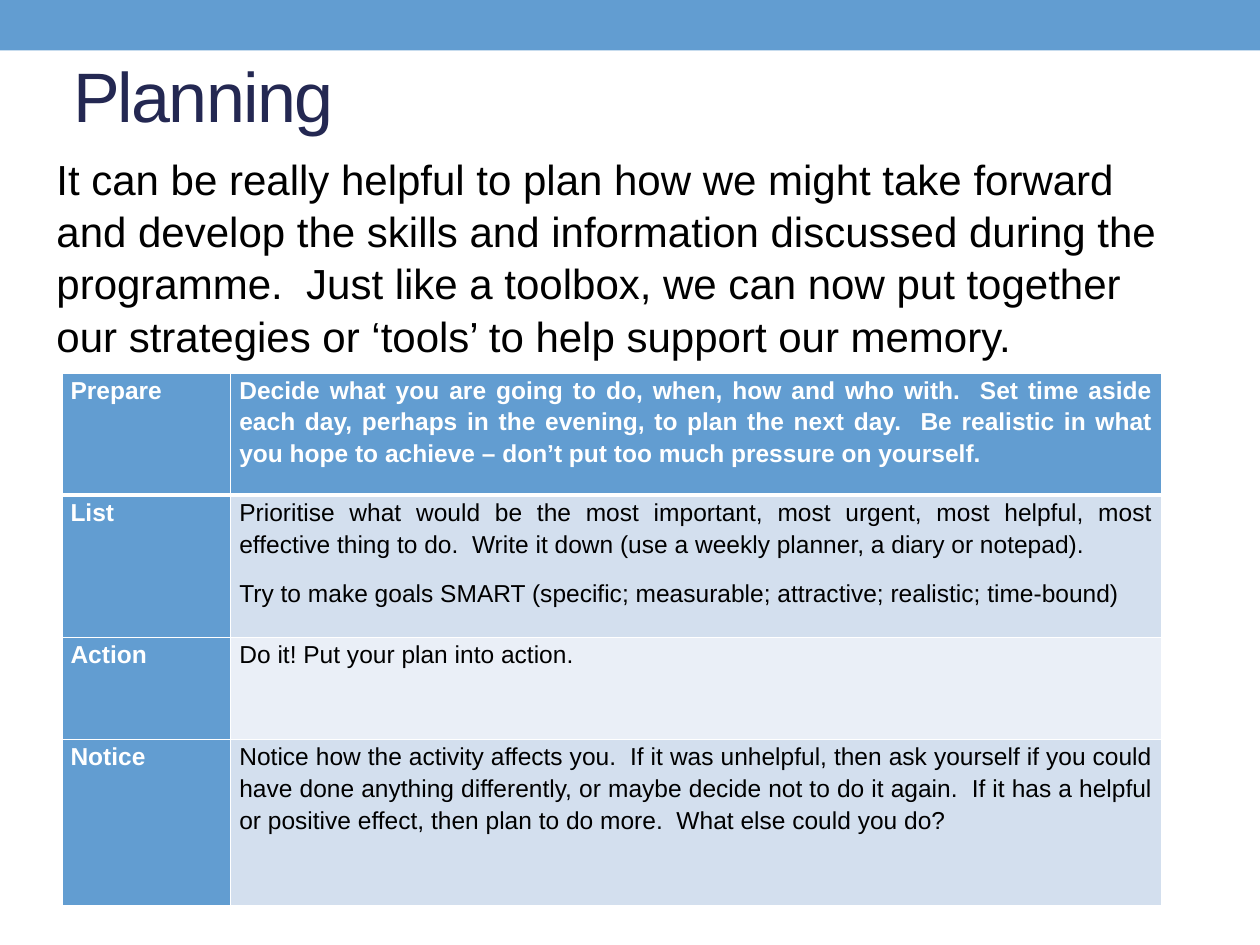
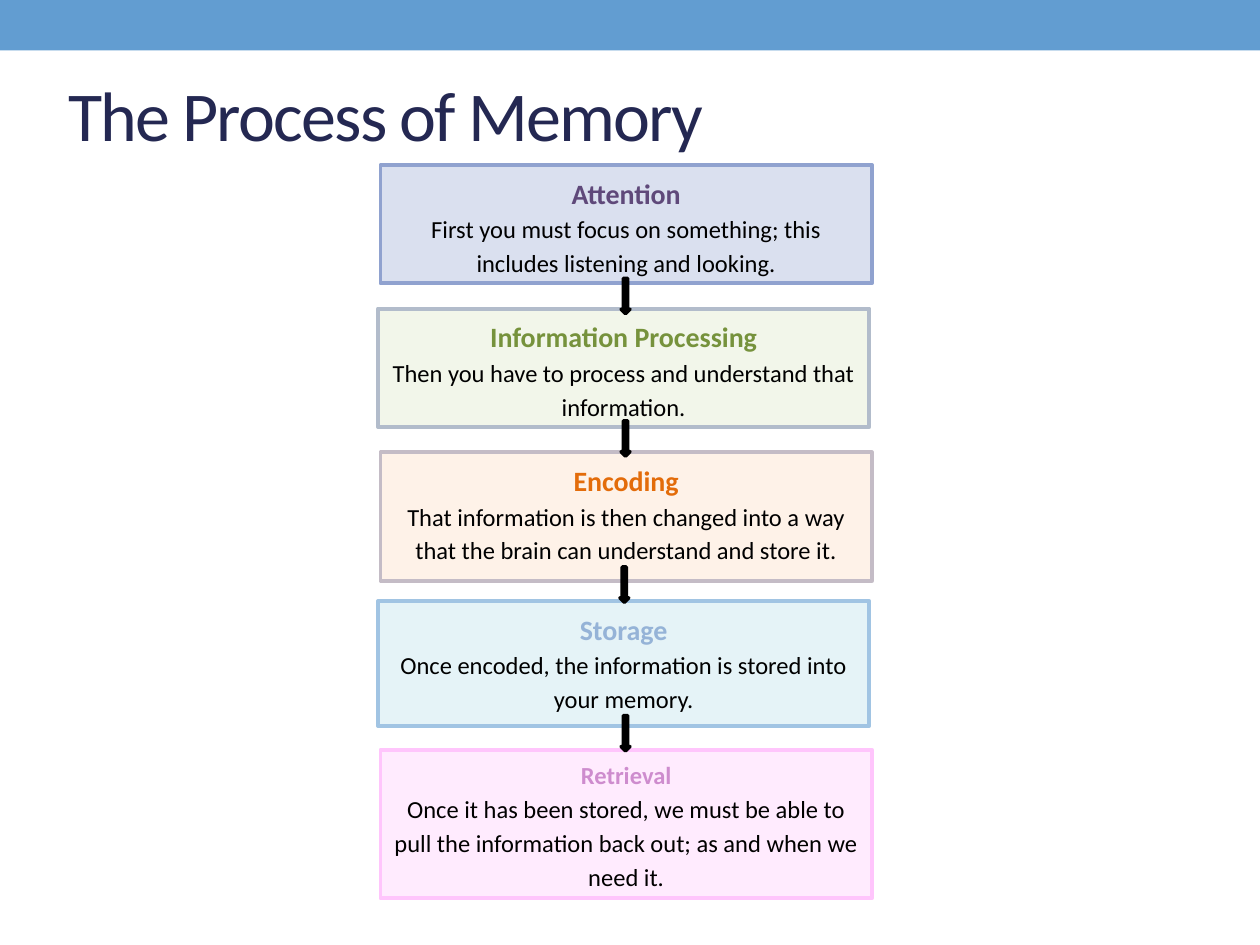
import dataclasses
import typing

import lxml.etree
import pptx
import pptx.dml.color
import pptx.enum.shapes
import pptx.enum.text
import pptx.oxml.ns
import pptx.util

ALIGN = pptx.enum.text.PP_ALIGN
ANCHOR = pptx.enum.text.MSO_ANCHOR
SHAPE = pptx.enum.shapes.MSO_SHAPE
SLIDE_WIDTH = pptx.util.Inches(10)
SLIDE_HEIGHT = pptx.util.Inches(7.5)
GRID_COLUMNS = 100
GRID_ROWS = 75


@dataclasses.dataclass(frozen=True)
class Theme:
    band: str = "629DD1"
    title: str = "242852"
    ink: str = "000000"
    paper: str = "FFFFFF"
    stripes: tuple[str, str] = ("EAEFF7", "D3DFEE")
    sans: str = "Arial"
    humanist: str = "Calibri"
    title_size: float = 40
    lead_size: float = 24
    heading_size: float = 16
    text_size: float = 14
    line_spacing: float = 1.15


THEME = Theme()


@dataclasses.dataclass(frozen=True)
class Frame:
    column: float
    row: float
    columns: float
    rows: float


@dataclasses.dataclass(frozen=True)
class PlanRow:
    label: str
    advice: tuple[str, ...]
    rows: float


@dataclasses.dataclass(frozen=True)
class MemoryStep:
    heading: str
    detail: str
    frame: Frame
    heading_color: str
    fill: str
    line: str
    heading_size: float = THEME.heading_size


PLAN_ROWS = (
    PlanRow("Prepare", ("Decide what you are going to do, when, how and who with.  Set time aside each day, "
                        "perhaps in the evening, to plan the next day.  Be realistic in what you hope to "
                        "achieve – don’t put too much pressure on yourself.",), 9.7),
    PlanRow("List", ("Prioritise what would be the most important, most urgent, most helpful, most effective "
                     "thing to do.  Write it down (use a weekly planner, a diary or notepad).",
                     "Try to make goals SMART (specific; measurable; attractive; realistic; time-bound)"), 11.3),
    PlanRow("Action", ("Do it! Put your plan into action.",), 8.1),
    PlanRow("Notice", ("Notice how the activity affects you.  If it was unhelpful, then ask yourself if you "
                       "could have done anything differently, or maybe decide not to do it again.  If it has "
                       "a helpful or positive effect, then plan to do more.  What else could you do?",), 13.2),
)
PLAN_COLUMNS = (13.4, 73.9)

MEMORY_STEPS = (
    MemoryStep("Attention", "First you must focus on something; this includes listening and looking.",
               Frame(30.2, 13.1, 39, 9.4), "5F497A", "DAE0EF", "90A2CF"),
    MemoryStep("Information Processing", "Then you have to process and understand that information.",
               Frame(30, 24.5, 39, 9.4), "76923C", "F2F6EA", "B2BCCB"),
    MemoryStep("Encoding", "That information is then changed into a way that the brain can understand and store it.",
               Frame(30.2, 35.9, 39, 10.2), "E36C0A", "FEF2E8", "C4BCC6"),
    MemoryStep("Storage", "Once encoded, the information is stored into your memory.",
               Frame(30, 47.7, 39, 9.9), "95B3D7", "E5F3F7", "A1C4E3"),
    MemoryStep("Retrieval", "Once it has been stored, we must be able to pull the information back out; "
                            "as and when we need it.",
               Frame(30.2, 59.5, 39, 11.8), "CE8CCE", "FFEBFE", "FFC5FC", THEME.text_size),
)
ARROW_POSITIONS = ((49.3, 22.1), (49.3, 33.4), (49.2, 45), (49.3, 56.8))


def across(columns: float) -> int:
    return round(SLIDE_WIDTH * columns / GRID_COLUMNS)


def down(rows: float) -> int:
    return round(SLIDE_HEIGHT * rows / GRID_ROWS)


def bounds(frame: Frame) -> tuple[int, int, int, int]:
    return across(frame.column), down(frame.row), across(frame.columns), down(frame.rows)


def color(value: str) -> pptx.dml.color.RGBColor:
    return pptx.dml.color.RGBColor.from_string(value)


def assign(target: typing.Any, values: dict[str, typing.Any]) -> None:
    for name, value in values.items():
        setattr(target, name, value)


def write(para: typing.Any, text: str, font_name: str, size: float, ink: str,
          bold: bool = False, **layout: typing.Any) -> typing.Any:
    span = para.add_run()
    span.text = text
    assign(span.font, {"name": font_name, "size": pptx.util.Pt(size), "bold": bold})
    span.font.color.rgb = color(ink)
    assign(para, layout)
    return span


def add_box(page: typing.Any, kind: typing.Any, frame: Frame, fill: str,
            line: str | None = None, weight: float = 0) -> typing.Any:
    box = page.shapes.add_shape(kind, *bounds(frame))
    box.shadow.inherit = False
    box.fill.solid()
    box.fill.fore_color.rgb = color(fill)
    if line is None:
        box.line.fill.background()
    else:
        box.line.color.rgb = color(line)
        box.line.width = pptx.util.Pt(weight)
    return box


def add_page(deck: typing.Any, title: str, frame: Frame, font_name: str) -> typing.Any:
    page = deck.slides.add_slide(deck.slide_layouts[5])
    add_box(page, SHAPE.RECTANGLE, Frame(0, 0, GRID_COLUMNS, 4), THEME.band)
    heading = page.shapes.title
    assign(heading, dict(zip(("left", "top", "width", "height"), bounds(frame))))
    assign(heading.text_frame, {"word_wrap": True, "vertical_anchor": ANCHOR.MIDDLE,
                                "auto_size": pptx.enum.text.MSO_AUTO_SIZE.NONE})
    span = write(heading.text_frame.paragraphs[0], title, font_name, THEME.title_size,
                 THEME.title, alignment=ALIGN.LEFT)
    span.font._element.set("spc", "-100")
    return page


def set_borders(cell: typing.Any, weights: dict[str, float]) -> None:
    properties = cell._tc.get_or_add_tcPr()
    for index, (side, weight) in enumerate(weights.items()):
        line = lxml.etree.Element(pptx.oxml.ns.qn(f"a:ln{side}"), w=str(pptx.util.Pt(weight)))
        fill = lxml.etree.SubElement(line, pptx.oxml.ns.qn("a:solidFill"))
        lxml.etree.SubElement(fill, pptx.oxml.ns.qn("a:srgbClr"), val=THEME.paper)
        properties.insert(index, line)


def fill_cell(cell: typing.Any, texts: tuple[str, ...], row_index: int, is_heading: bool) -> None:
    assign(cell, {"margin_left": across(0.7), "margin_right": across(0.7),
                  "margin_top": 0, "margin_bottom": 0, "vertical_anchor": ANCHOR.TOP})
    cell.fill.solid()
    cell.fill.fore_color.rgb = color(THEME.band if is_heading else THEME.stripes[row_index % 2])
    for index, text in enumerate(texts):
        para = cell.text_frame.add_paragraph() if index else cell.text_frame.paragraphs[0]
        write(para, text, THEME.sans, THEME.text_size, THEME.paper if is_heading else THEME.ink,
              is_heading, alignment=ALIGN.JUSTIFY, line_spacing=THEME.line_spacing,
              space_after=pptx.util.Pt(10))
    set_borders(cell, {"L": 1, "R": 1, "T": 3 if row_index == 1 else 1,
                       "B": 3 if row_index == 0 else 1})


def add_plan_table(page: typing.Any) -> None:
    frame = Frame(4.9, 29.6, sum(PLAN_COLUMNS), sum(row.rows for row in PLAN_ROWS))
    table = page.shapes.add_table(len(PLAN_ROWS), len(PLAN_COLUMNS), *bounds(frame)).table
    for column, columns in zip(table.columns, PLAN_COLUMNS):
        column.width = across(columns)
    for index, row in enumerate(PLAN_ROWS):
        table.rows[index].height = down(row.rows)
        fill_cell(table.cell(index, 0), (row.label,), index, True)
        fill_cell(table.cell(index, 1), row.advice, index, index == 0)


def add_planning_page(deck: typing.Any) -> None:
    page = add_page(deck, "Planning", Frame(4.8, 2.1, 90, 10.8), THEME.sans)
    lead = page.shapes.add_textbox(*bounds(Frame(3.5, 11.5, 90, 17)))
    lead.text_frame.word_wrap = True
    write(lead.text_frame.paragraphs[0],
          "It can be really helpful to plan how we might take forward and develop the skills and "
          "information discussed during the programme.  Just like a toolbox, we can now put together "
          "our strategies or ‘tools’ to help support our memory.",
          THEME.sans, THEME.lead_size, THEME.ink, alignment=ALIGN.LEFT,
          line_spacing=1.04, space_before=pptx.util.Pt(2))
    add_plan_table(page)


def add_step(page: typing.Any, step: MemoryStep) -> None:
    box = add_box(page, SHAPE.RECTANGLE, step.frame, step.fill, step.line, 2.25)
    assign(box.text_frame, {"word_wrap": True, "vertical_anchor": ANCHOR.TOP})
    layout = {"alignment": ALIGN.CENTER, "line_spacing": THEME.line_spacing}
    write(box.text_frame.paragraphs[0], step.heading, THEME.humanist, step.heading_size,
          step.heading_color, True, **layout)
    write(box.text_frame.add_paragraph(), step.detail, THEME.humanist, THEME.text_size,
          THEME.ink, **layout)


def add_memory_page(deck: typing.Any) -> None:
    page = add_page(deck, "The Process of Memory", Frame(4.4, 3.6, 90, 10.8), THEME.humanist)
    for step in MEMORY_STEPS:
        add_step(page, step)
    for column, row in ARROW_POSITIONS:
        add_box(page, SHAPE.DOWN_ARROW, Frame(column, row, 0.7, 2.8), THEME.ink, THEME.ink, 2)


def main() -> None:
    deck = pptx.Presentation()
    assign(deck, {"slide_width": SLIDE_WIDTH, "slide_height": SLIDE_HEIGHT})
    add_planning_page(deck)
    add_memory_page(deck)
    deck.save("out.pptx")


if __name__ == "__main__":
    main()
